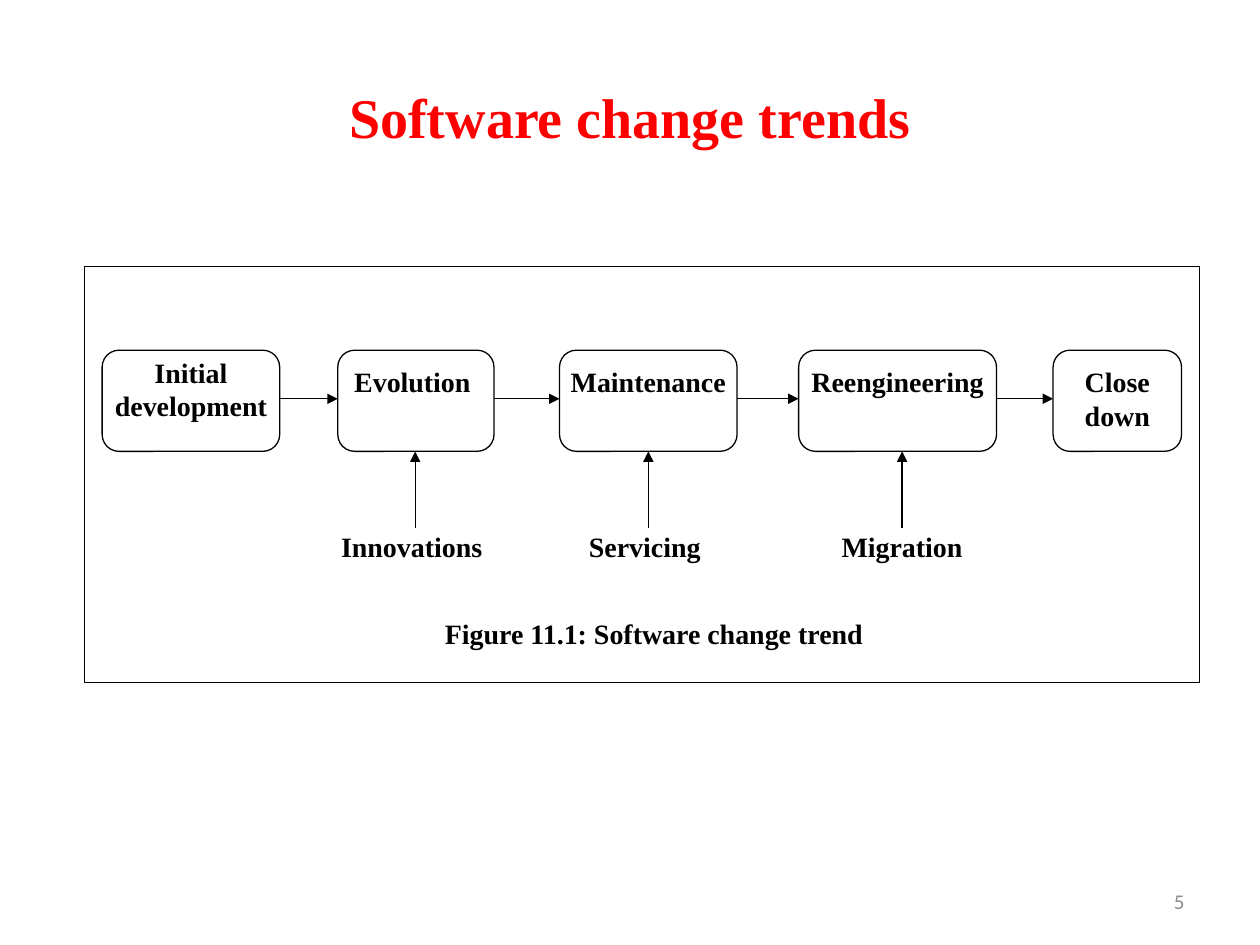
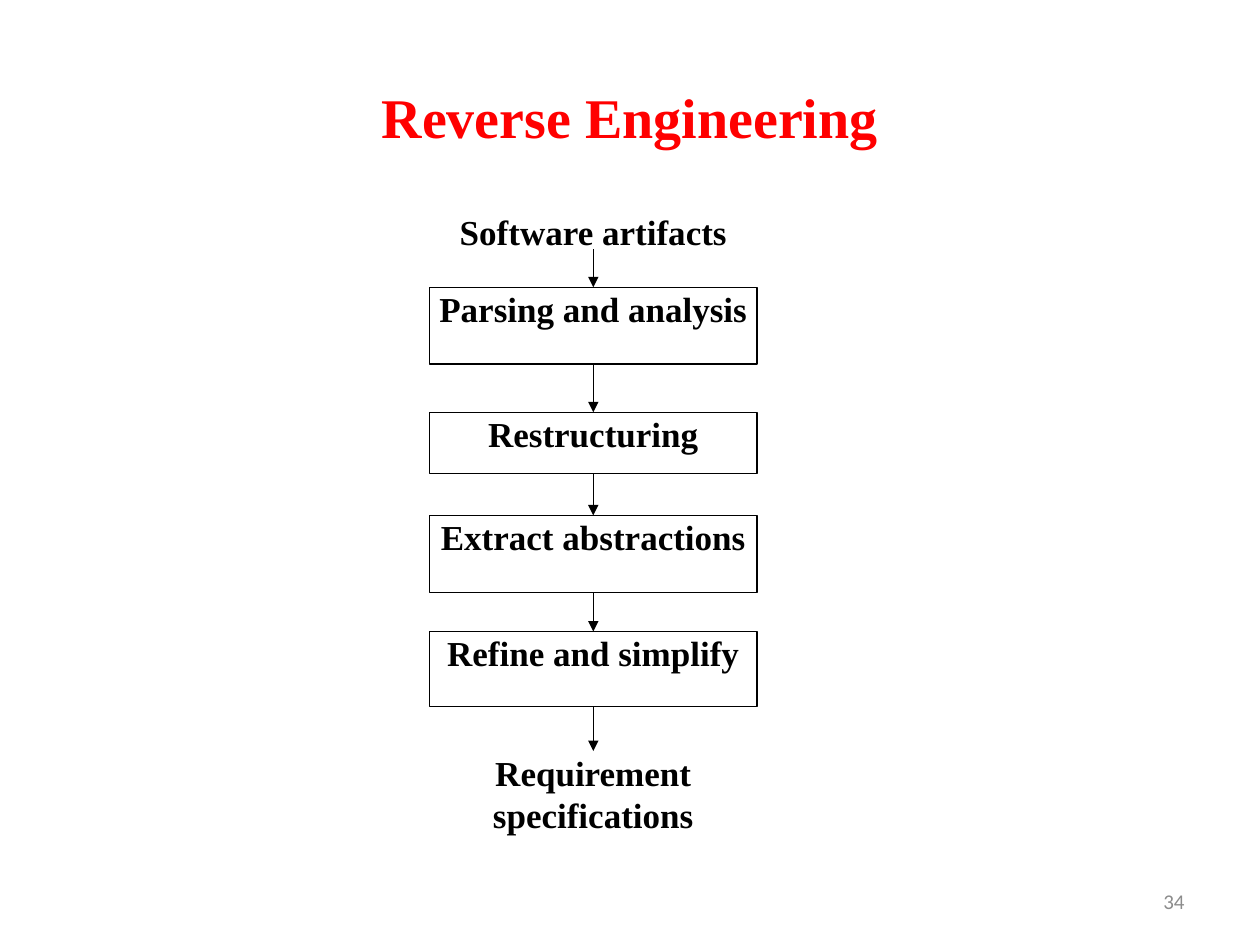
from dataclasses import dataclass
from itertools import pairwise

from lxml import etree
from pptx import Presentation
from pptx import util as u
from pptx.dml.color import RGBColor
from pptx.enum import shapes, text
from pptx.oxml import ns

BLACK, WHITE, RED, GREY = "000000", "FFFFFF", "FF0000", "8C8C8C"
SERIF, SANS = "Times New Roman", "Calibri"
RECT = shapes.MSO_SHAPE.RECTANGLE
ROUNDED = shapes.MSO_SHAPE.ROUNDED_RECTANGLE
LEFT, CENTER, RIGHT = text.PP_ALIGN.LEFT, text.PP_ALIGN.CENTER, text.PP_ALIGN.RIGHT
TOP, MIDDLE = text.MSO_ANCHOR.TOP, text.MSO_ANCHOR.MIDDLE
LINE_WIDTH = u.Pt(0.75)


@dataclass
class Area:
    left: float
    top: float
    width: float
    height: float

    @property
    def right(self) -> float:
        return self.left + self.width

    @property
    def bottom(self) -> float:
        return self.top + self.height

    @property
    def center(self) -> float:
        return self.left + self.width / 2

    def lengths(self) -> list:
        return [u.Cm(v) for v in (self.left, self.top, self.width, self.height)]


@dataclass
class Step:
    label: str
    area: Area
    outline: str = BLACK
    inset: float = 0
    align: text.PP_ALIGN = CENTER


def color(hex_value: str) -> RGBColor:
    return RGBColor.from_string(hex_value)


def apply(target, values: dict) -> None:
    for name, value in values.items():
        setattr(target, name, value)


def write(frame, words: str, size: float, align, anchor, insets: tuple,
          ink: str = BLACK, face: str = SERIF, bold: bool = True) -> None:
    left, top, right, bottom = (u.Cm(v) for v in insets)
    apply(frame, {"word_wrap": True, "vertical_anchor": anchor,
                  "margin_left": left, "margin_top": top,
                  "margin_right": right, "margin_bottom": bottom})
    paragraph = frame.paragraphs[0]
    paragraph.alignment = align
    run = paragraph.add_run()
    run.text = words
    apply(run.font, {"size": u.Pt(size), "name": face, "bold": bold})
    run.font.color.rgb = color(ink)


def draw_outline(slide, preset, area: Area, outline: str):
    shape = slide.shapes.add_shape(preset, *area.lengths())
    shape.shadow.inherit = False
    shape.line.color.rgb = color(outline)
    shape.line.width = LINE_WIDTH
    return shape


def draw_step(slide, step: Step, preset, size: float) -> None:
    shape = draw_outline(slide, preset, step.area, step.outline)
    shape.fill.solid()
    shape.fill.fore_color.rgb = color(WHITE)
    write(shape.text_frame, step.label, size, step.align, TOP, (0, step.inset, 0, 0))


def draw_arrow(slide, x1: float, y1: float, x2: float, y2: float) -> None:
    arrow = slide.shapes.add_connector(
        shapes.MSO_CONNECTOR.STRAIGHT, *(u.Cm(v) for v in (x1, y1, x2, y2)))
    arrow.line.color.rgb = color(BLACK)
    arrow.line.width = LINE_WIDTH
    properties = arrow.line._get_or_add_ln()
    etree.SubElement(properties, ns.qn("a:tailEnd"), type="triangle")
    etree.SubElement(arrow._element.spPr, ns.qn("a:effectLst"))


def add_page(deck, title: str, number: int):
    slide = deck.slides.add_slide(deck.slide_layouts[6])
    insets = (0.25, 0.13, 0.25, 0.13)
    heading = slide.shapes.add_textbox(*Area(1.27, 0.76, 22.86, 3.18).lengths())
    write(heading.text_frame, title, 32, CENTER, MIDDLE, insets, RED)
    footer = slide.shapes.add_textbox(*Area(18.21, 17.65, 5.92, 1.02).lengths())
    write(footer.text_frame, str(number), 12, RIGHT, MIDDLE, insets, GREY, SANS, False)
    return slide


def build_trends(deck) -> None:
    slide = add_page(deck, "Software change trends", 5)
    draw_outline(slide, RECT, Area(1.7, 5.38, 22.48, 8.38), BLACK).fill.background()

    stages = [Step(label, Area(left, 7.06, width, 2.04), inset=inset)
              for label, left, width, inset in (
                  ("Initial development", 2.06, 3.58, 0),
                  ("Evolution ", 6.81, 3.15, 0.2),
                  ("Maintenance", 11.28, 3.58, 0.2),
                  ("Reengineering", 16.1, 3.99, 0.2),
                  ("Close down", 21.23, 2.59, 0.2))]
    influences = [Step(label, Area(left, 10.64, width, 0.86), WHITE)
                  for label, left, width in (
                      ("Innovations ", 6.58, 3.58),
                      ("Servicing ", 11.28, 3.58),
                      ("Migration", 16.51, 3.35))]
    for step in stages + influences:
        draw_step(slide, step, ROUNDED, 16)

    flow_level = 8.04
    for stage, following in pairwise(stages):
        draw_arrow(slide, stage.area.right, flow_level, following.area.left, flow_level)
    for influence, stage in zip(influences, stages[1:]):
        center = influence.area.center
        draw_arrow(slide, center, influence.area.top, center, stage.area.bottom)

    caption = Step("Figure 11.1: Software change trend",
                   Area(8.97, 12.42, 9.19, 1.14), WHITE, align=LEFT)
    draw_step(slide, caption, RECT, 16)


def build_reverse_engineering(deck) -> None:
    slide = add_page(deck, "Reverse Engineering", 34)
    steps = [Step(label, Area(8.66, top, 6.6, height), outline)
             for label, top, height, outline in (
                 ("Software artifacts", 4.24, 0.78, WHITE),
                 ("Parsing and analysis", 5.79, 1.55, BLACK),
                 ("Restructuring", 8.31, 1.24, BLACK),
                 ("Extract abstractions", 10.39, 1.55, BLACK),
                 ("Refine and simplify", 12.73, 1.52, BLACK),
                 ("Requirement specifications", 15.14, 1.57, WHITE))]
    for step in steps:
        draw_step(slide, step, RECT, 20)
    for step, following in pairwise(steps):
        center = step.area.center
        draw_arrow(slide, center, step.area.bottom, center, following.area.top)


def main() -> None:
    deck = Presentation()
    apply(deck, {"slide_width": u.Cm(25.4), "slide_height": u.Cm(19.05)})
    build_trends(deck)
    build_reverse_engineering(deck)
    deck.save("out.pptx")


main()
